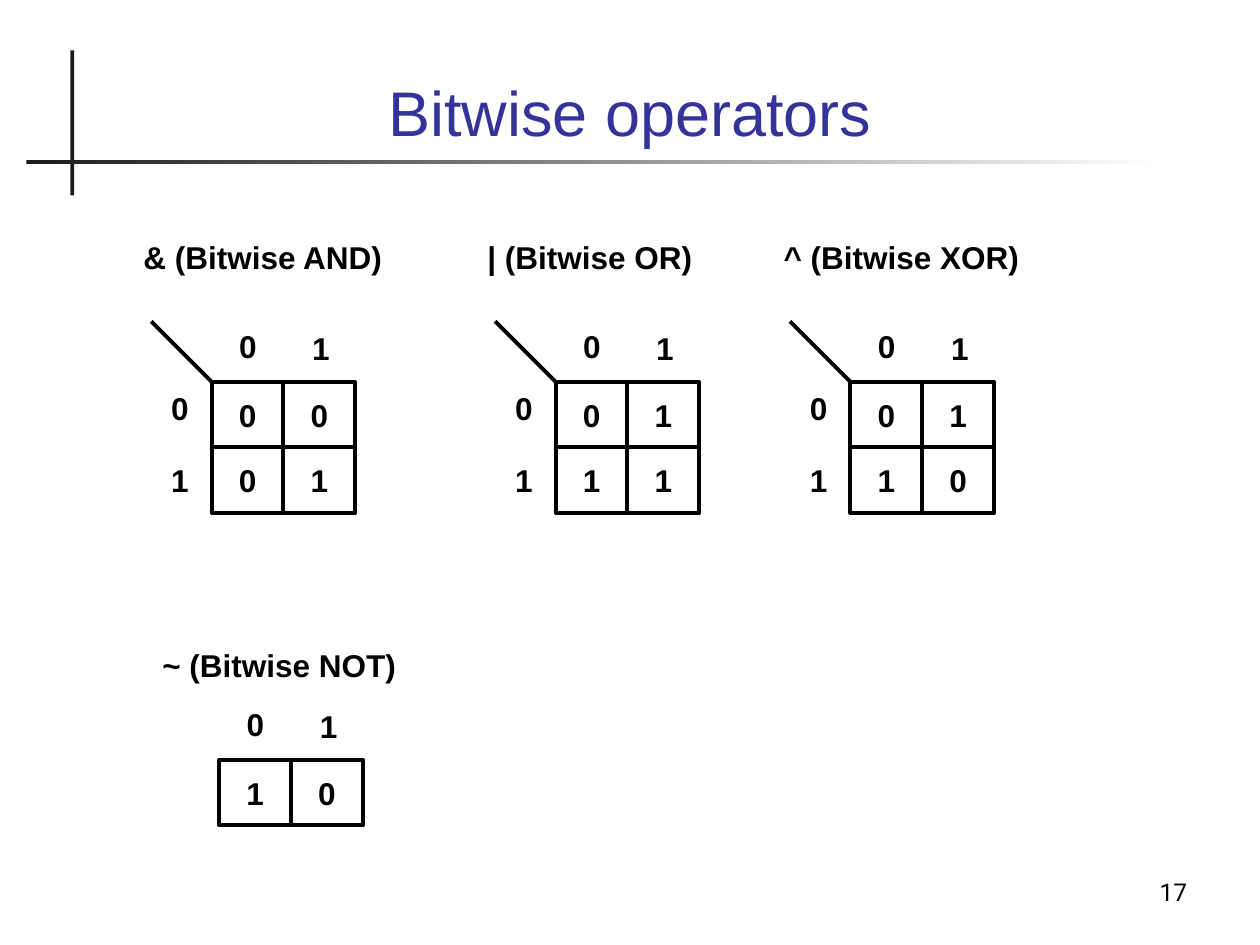
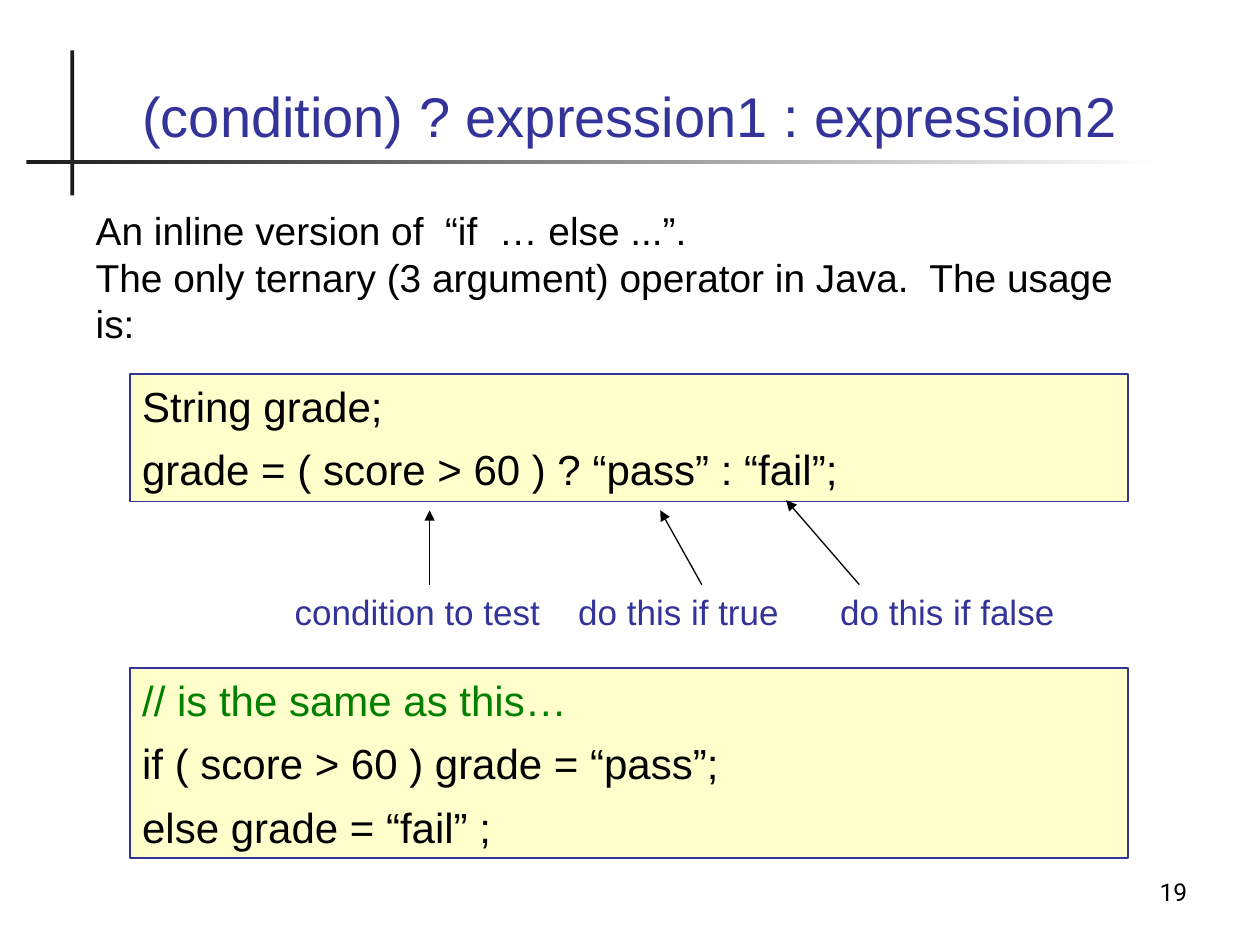
import pptx
import pptx.util
import pptx.dml.color
import pptx.enum.shapes
import pptx.enum.text
import pptx.oxml.ns

# Content
COLORS = {"black": "000000", "white": "FFFFFF", "band": "1C1C1C",
          "accent": "333399", "code": "FFFFCC", "comment": "008000"}

# name, name box (left, top), grid corner, rows of results
OPERATORS = [
    ("& (Bitwise AND)", (1.04, 1.84), (1.68, 3.03), ["00", "01"]),
    ("| (Bitwise OR)", (3.77, 1.84), (4.41, 3.03), ["01", "11"]),
    ("^ (Bitwise XOR)", (6.12, 1.84), (6.75, 3.03), ["01", "10"]),
    ("~ (Bitwise NOT)", (1.19, 5.08), (1.74, 6.03), ["10"]),
]

INTRO = ["An inline version of  “if  … else ...”.",
         "The only ternary (3 argument) operator in Java.  The usage is:"]

# top, height, lines with their colours
CODE_BOXES = [
    (2.97, 1.01, [("String grade;", "black"),
                  ("grade = ( score > 60 ) ? “pass” : “fail”;", "black")]),
    (5.3, 1.51, [("// is the same as this…", "comment"),
                 ("if ( score > 60 ) grade = “pass”;", "black"),
                 ("else grade = “fail” ;", "black")]),
]

# text, left, width, arrow start x, arrow tip
CALLOUTS = [
    ("condition to test", 2.24, 2.2, 3.41, (3.41, 4.05)),
    ("do this if true", 4.49, 1.85, 5.57, (5.24, 4.05)),
    ("do this if false", 6.57, 1.95, 6.82, (6.24, 3.97)),
]

# Grid measures
CELL_WIDTH, CELL_HEIGHT = 0.57, 0.52
NAME_SIZE = (2.25, 0.4)
LABEL_SIZE = (0.34, 0.4)
COLUMN_LABELS = [(0.12, -0.48), (0.7, -0.47)]
ROW_LABELS = [(-0.42, 0.01), (-0.42, 0.58)]
CALLOUT_TOP = 4.64

ALIGN = pptx.enum.text.PP_ALIGN
ANCHOR = pptx.enum.text.MSO_ANCHOR


def inches(*values):
    return [pptx.util.Inches(value) for value in values]


def color(name):
    return pptx.dml.color.RGBColor.from_string(COLORS[name])


def append_element(parent, tag, **attributes):
    parent.append(parent.makeelement(pptx.oxml.ns.qn(tag), attributes))


def style(para, size, name="black", bold=False, align=ALIGN.LEFT, font="Arial"):
    para.alignment = align
    para.font.name = font
    para.font.size = pptx.util.Pt(size)
    para.font.bold = bold
    para.font.color.rgb = color(name)


def place(shape, left, top, width, height):
    shape.left, shape.top, shape.width, shape.height = inches(left, top, width, height)


def add_rectangle(page, at, fill=None, line=None, weight=1):
    kind = pptx.enum.shapes.MSO_SHAPE.RECTANGLE
    shape = page.shapes.add_shape(kind, *inches(*at))
    shape.shadow.inherit = False
    if fill:
        shape.fill.solid()
        shape.fill.fore_color.rgb = color(fill)
    if line:
        shape.line.color.rgb = color(line)
        shape.line.width = pptx.util.Pt(weight)
    else:
        shape.line.fill.background()
    return shape


def add_text(page, text, at, size, wrap=False, anchor=ANCHOR.TOP, **look):
    box = page.shapes.add_textbox(*inches(*at))
    frame = box.text_frame
    frame.word_wrap = wrap
    frame.vertical_anchor = anchor
    frame.text = text
    style(frame.paragraphs[0], size, **look)


def add_line(page, start, end, weight, arrow=False):
    kind = pptx.enum.shapes.MSO_CONNECTOR.STRAIGHT
    connector = page.shapes.add_connector(kind, *inches(*start, *end))
    connector.line.color.rgb = color("black")
    connector.line.width = pptx.util.Pt(weight)
    properties = connector._element.spPr
    if arrow:
        append_element(properties.find(pptx.oxml.ns.qn("a:ln")), "a:tailEnd",
                       type="triangle")
    append_element(properties, "a:effectLst")


# Shared frame of both slides: bands, title, number
def add_page(deck, layout, title, title_size, number):
    page = deck.slides.add_slide(deck.slide_layouts[layout])
    add_rectangle(page, (0.56, 0.4, 0.03, 1.15), "band")
    rule = add_rectangle(page, (0.21, 1.27, 8.99, 0.03))
    rule.fill.gradient()
    rule.fill.gradient_angle = 0
    for stop, name in zip(rule.fill.gradient_stops, ("band", "white")):
        stop.color.rgb = color(name)

    heading = page.shapes.title
    place(heading, 0.67, 0.28, 8.66, 0.95)
    frame = heading.text_frame
    frame.text = title
    frame.auto_size = pptx.enum.text.MSO_AUTO_SIZE.NONE
    frame.vertical_anchor = ANCHOR.BOTTOM
    style(frame.paragraphs[0], title_size, "accent", align=ALIGN.CENTER)

    add_text(page, number, (7.44, 6.74, 2.08, 0.5), 14, wrap=True,
             anchor=ANCHOR.BOTTOM, align=ALIGN.RIGHT, font="Roboto")
    return page


# Truth table of one operator
def add_truth_table(page, name, name_corner, corner, rows):
    left, top = corner
    add_text(page, name, (*name_corner, *NAME_SIZE), 18, bold=True)
    for row, results in enumerate(rows):
        for column, result in enumerate(results):
            cell = add_rectangle(
                page, (left + column * CELL_WIDTH, top + row * CELL_HEIGHT,
                       CELL_WIDTH, CELL_HEIGHT), "white", "black", 2.25)
            frame = cell.text_frame
            frame.text = result
            frame.word_wrap = False
            frame.vertical_anchor = ANCHOR.MIDDLE
            style(frame.paragraphs[0], 18, bold=True, align=ALIGN.CENTER)

    label_groups = [COLUMN_LABELS]
    if len(rows) == 2:
        label_groups.append(ROW_LABELS)
        add_line(page, (left - 0.48, top - 0.48), (left, top), 2.25)
    for offsets in label_groups:
        for bit, (across, down) in enumerate(offsets):
            add_text(page, str(bit), (left + across, top + down, *LABEL_SIZE),
                     18, bold=True)


def add_intro(page):
    body = page.placeholders[1]
    place(body, 0.66, 1.59, 8.66, 1.02)
    body.text_frame.auto_size = pptx.enum.text.MSO_AUTO_SIZE.NONE
    para = body.text_frame.paragraphs[0]
    para.add_run().text = INTRO[0]
    para.add_line_break()
    para.add_run().text = INTRO[1]
    settings = para._p.get_or_add_pPr()
    settings.set("marL", "0")
    settings.set("indent", "0")
    append_element(settings, "a:buNone")
    para.space_before = pptx.util.Pt(0)
    style(para, 22.2)


def add_code(page, top, height, lines):
    box = add_rectangle(page, (1.03, top, 7.92, height), "code", "accent")
    frame = box.text_frame
    frame.word_wrap = True
    frame.vertical_anchor = ANCHOR.TOP
    frame.text = "\n".join(text for text, name in lines)
    for index, (para, (text, name)) in enumerate(zip(frame.paragraphs, lines)):
        style(para, 24, name)
        if index:
            para.space_before = pptx.util.Pt(7.5)


def main():
    deck = pptx.Presentation()
    deck.slide_width, deck.slide_height = inches(10, 7.5)

    # Bitwise operators
    page = add_page(deck, 5, "Bitwise operators", 36, "17")
    for operator in OPERATORS:
        add_truth_table(page, *operator)

    # Conditional expression
    page = add_page(deck, 1, "(condition) ? expression1 : expression2", 32, "19")
    add_intro(page)
    for code_box in CODE_BOXES:
        add_code(page, *code_box)
    for text, left, width, start, tip in CALLOUTS:
        add_line(page, (start, CALLOUT_TOP), tip, 0.75, arrow=True)
        add_text(page, text, (left, CALLOUT_TOP, width, 0.44), 20, name="accent")

    deck.save("out.pptx")


if __name__ == "__main__":
    main()
